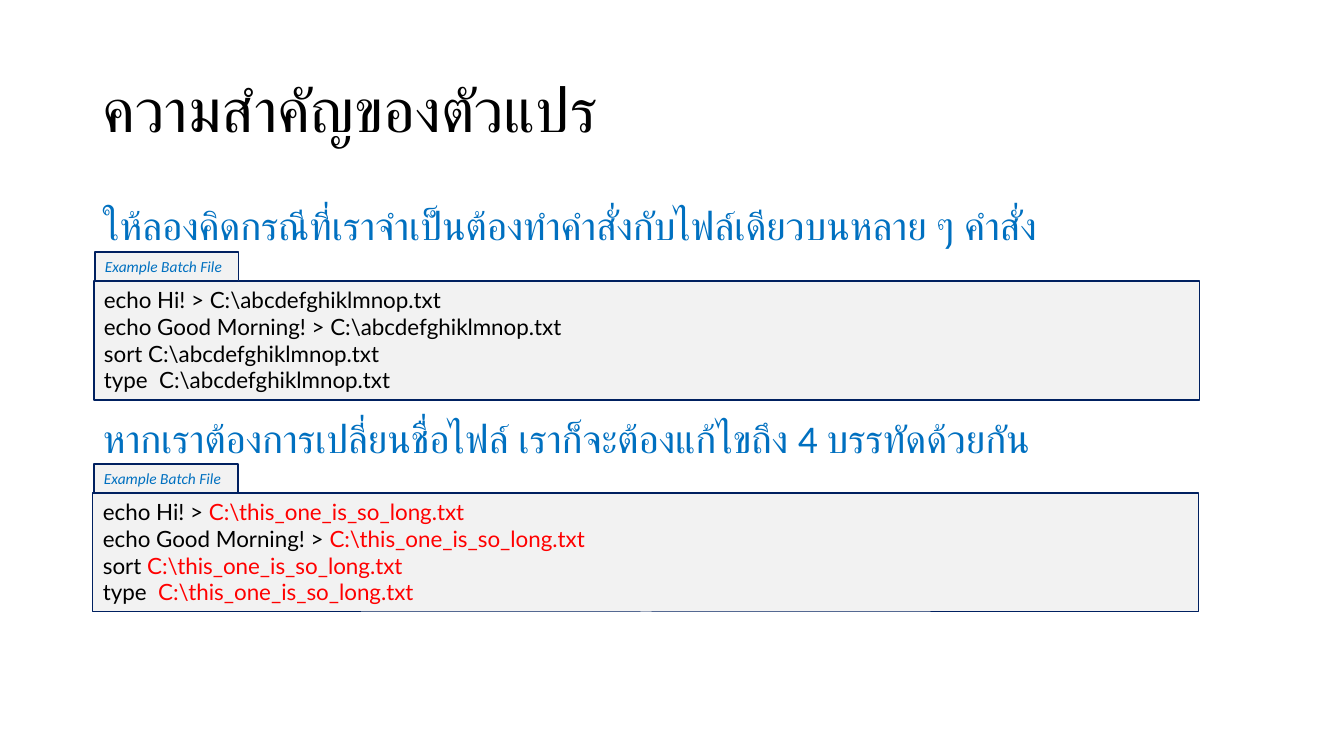
from pptx import Presentation
from pptx.dml.color import RGBColor
from pptx.enum.shapes import MSO_SHAPE
from pptx.enum.text import MSO_ANCHOR, MSO_AUTO_SIZE, PP_ALIGN
from pptx.util import Emu, Pt

EMU_PER_PX = 914400 / 100.8
BLACK, BLUE, RED = "000000", "0070C0", "FF0000"
NAVY, PALE_GREY = "002060", "F2F2F2"


def fill_text(shape, paragraphs, font, size, italic=False, spacing=1.0):
    """Write paragraphs, each a list of (text, colour) runs, into the shape."""
    frame = shape.text_frame
    frame.word_wrap = True
    for index, runs in enumerate(paragraphs):
        paragraph = frame.add_paragraph() if index else frame.paragraphs[0]
        paragraph.alignment = PP_ALIGN.LEFT
        paragraph.line_spacing = spacing
        for text, color in runs:
            run = paragraph.add_run()
            run.text = text
            run.font.name = font
            run.font.size = Pt(size)
            run.font.italic = italic
            run.font.color.rgb = RGBColor.from_string(color)
    return frame


def box(*lengths):
    return [Emu(round(length * EMU_PER_PX)) for length in lengths]


prs = Presentation()
prs.slide_width, prs.slide_height = box(1344, 756)
slide = prs.slides.add_slide(prs.slide_layouts[6])

title = slide.shapes.add_textbox(*box(93, 40, 1159, 146))
title_frame = fill_text(title, [[("ความสำคัญของตัวแปร", BLACK)]], "Calibri", 44, spacing=0.9)
title_frame.vertical_anchor = MSO_ANCHOR.MIDDLE

explanation = slide.shapes.add_textbox(*box(93, 202, 1159, 480))
explanation_frame = fill_text(explanation, [
    [("ให้ลองคิดกรณีที่เราจำเป็นต้องทำคำสั่งกับไฟล์เดียวบนหลาย ๆ คำสั่ง", BLUE)],
    [("หากเราต้องการเปลี่ยนชื่อไฟล์ เราก็จะต้องแก้ไขถึง 4 บรรทัดด้วยกัน", BLUE)],
], "Calibri", 28, spacing=0.9)
# The second statement leaves room for the first batch file above it
for statement, gap in zip(explanation_frame.paragraphs, (10, 122)):
    statement.space_before = Pt(gap)

commands = ["echo Hi! > ", "echo Good Morning! > ", "sort ", "type  "]
batch_files = [
    (94, 281, r"C:\abcdefghiklmnop.txt", BLACK),
    (93, 493, r"C:\this_one_is_so_long.txt", RED),
]
for left, top, file_name, name_color in batch_files:
    batch_file = slide.shapes.add_group_shape()
    code = batch_file.shapes.add_shape(MSO_SHAPE.RECTANGLE, *box(left, top, 1106, 119))
    tab = batch_file.shapes.add_shape(MSO_SHAPE.RECTANGLE, *box(left + 1, top - 29, 144, 29))
    fill_text(code, [[(command, BLACK), (file_name, name_color)] for command in commands],
              "Lato", 16)
    fill_text(tab, [[("Example Batch File", BLUE)]], "Calibri", 11, italic=True)
    for panel in (code, tab):
        panel.shadow.inherit = False
        panel.fill.solid()
        panel.fill.fore_color.rgb = RGBColor.from_string(PALE_GREY)
        panel.line.color.rgb = RGBColor.from_string(NAVY)
        panel.line.width = Pt(0.75)
        panel.text_frame.vertical_anchor = MSO_ANCHOR.TOP
        panel.text_frame.auto_size = MSO_AUTO_SIZE.SHAPE_TO_FIT_TEXT

prs.save("out.pptx")
